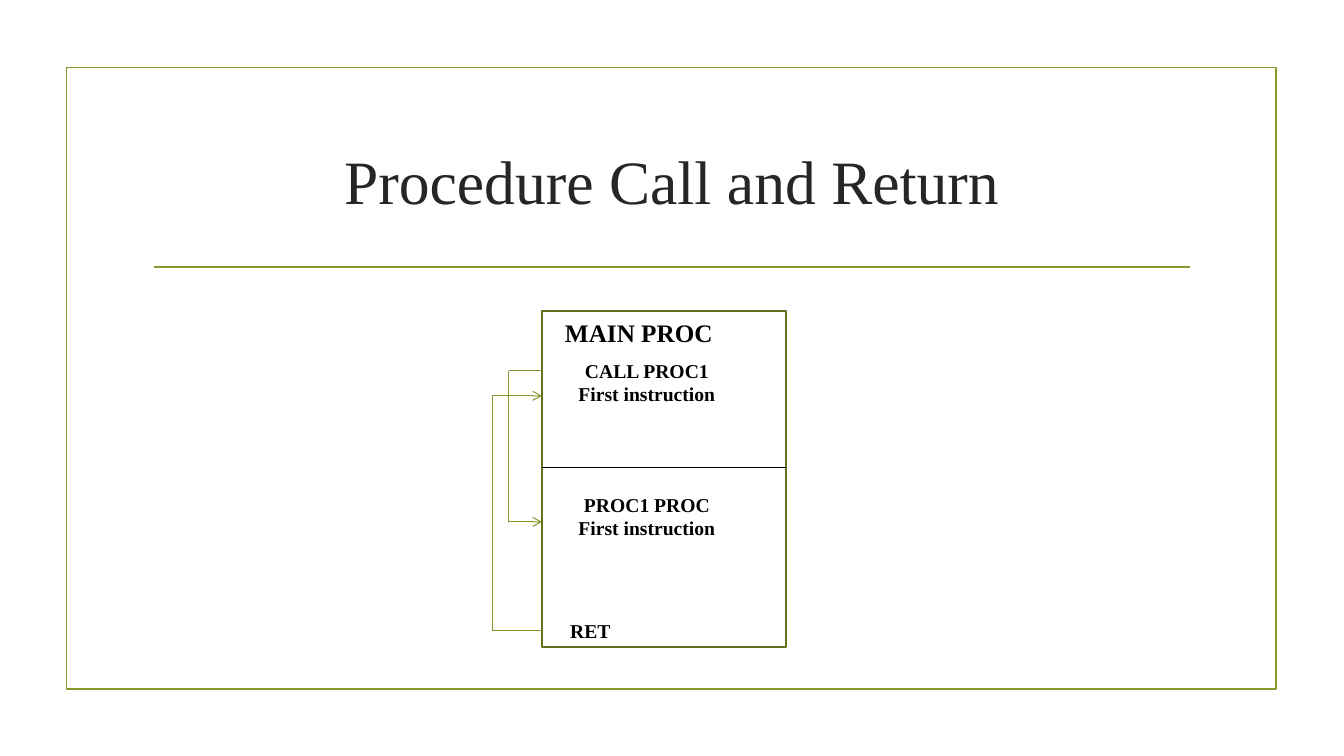
from dataclasses import dataclass
from itertools import pairwise

from pptx import Presentation
from pptx.dml.color import RGBColor
from pptx.enum.shapes import MSO_CONNECTOR, MSO_SHAPE
from pptx.enum.text import MSO_ANCHOR, PP_ALIGN
from pptx.oxml import parse_xml
from pptx.oxml.ns import nsdecls
from pptx.util import Pt

RECT = MSO_SHAPE.RECTANGLE
LINE = MSO_CONNECTOR.STRAIGHT
CENTER = PP_ALIGN.CENTER
TOP, MIDDLE = MSO_ANCHOR.TOP, MSO_ANCHOR.MIDDLE


@dataclass(frozen=True)
class Theme:
    font: str = "Times New Roman"
    green: str = "83992A"
    olive: str = "61711F"
    white: str = "FFFFFF"
    black: str = "000000"
    dark: str = "262626"
    title: float = 44
    head: float = 18
    body: float = 14
    thick: float = 1.25
    thin: float = 0.75


@dataclass(frozen=True)
class Box:
    left: float
    top: float
    width: float
    height: float
    line: str
    fill: str | None = None


@dataclass(frozen=True)
class Label:
    left: float
    top: float
    width: float
    height: float
    lines: tuple[str, ...]
    size: float
    color: str
    bold: bool = True
    anchor: MSO_ANCHOR = TOP


@dataclass(frozen=True)
class Rule:
    start: tuple[float, float]
    end: tuple[float, float]
    color: str
    width: float
    arrow: bool = False


@dataclass(frozen=True)
class Jump:
    """A path that leaves the memory box, runs down or up, and re-enters."""
    x: float
    leave: float
    enter: float


THEME = Theme()
EDGE = 387.2  # left side of the memory box

FRAME = Box(47.5, 48.2, 864, 444.2, THEME.green)
MEMORY = Box(EDGE, 222.4, 174.2, 239.8, THEME.olive, THEME.white)

RULES = (
    Rule((110.2, 190.8), (850.3, 190.8), THEME.green, THEME.thick),
    Rule((EDGE, 333.8), (561.2, 333.8), THEME.black, THEME.thin),
)

LABELS = (
    Label(102, 77, 756, 103, ("Procedure Call and Return",),
          THEME.title, THEME.dark, False, MIDDLE),
    Label(EDGE, 223.2, 138.2, 29, ("MAIN PROC",), THEME.head, THEME.black),
    Label(EDGE, 252.7, 149.8, 41, ("CALL PROC1", "First instruction"),
          THEME.body, THEME.black),
    Label(EDGE, 348.5, 149.8, 41, ("PROC1 PROC", "First instruction"),
          THEME.body, THEME.black),
    Label(EDGE, 438.5, 69.1, 24.5, ("RET",), THEME.body, THEME.black),
)

JUMPS = (
    Jump(363.4, 264.8, 372.8),  # call
    Jump(351.6, 450.4, 282.7),  # return
)


def draw_box(slide, box: Box) -> None:
    shape = slide.shapes.add_shape(
        RECT, Pt(box.left), Pt(box.top), Pt(box.width), Pt(box.height))
    shape.shadow.inherit = False
    shape.line.color.rgb = RGBColor.from_string(box.line)
    shape.line.width = Pt(THEME.thick)
    if box.fill is None:
        shape.fill.background()
    else:
        shape.fill.solid()
        shape.fill.fore_color.rgb = RGBColor.from_string(box.fill)


def draw_rule(slide, rule: Rule) -> None:
    ends = (Pt(v) for v in (*rule.start, *rule.end))
    link = slide.shapes.add_connector(LINE, *ends)
    link.line.color.rgb = RGBColor.from_string(rule.color)
    link.line.width = Pt(rule.width)
    if rule.arrow:
        tip = parse_xml(f'<a:tailEnd {nsdecls("a")} type="arrow"/>')
        link.line._get_or_add_ln().append(tip)
    link._element.spPr.append(parse_xml(f'<a:effectLst {nsdecls("a")}/>'))


def draw_label(slide, label: Label) -> None:
    box = slide.shapes.add_textbox(
        Pt(label.left), Pt(label.top), Pt(label.width), Pt(label.height))
    frame = box.text_frame
    frame.word_wrap = True
    frame.vertical_anchor = label.anchor
    frame.text = "\n".join(label.lines)
    for para in frame.paragraphs:
        para.alignment = CENTER
        para.font.name = THEME.font
        para.font.size = Pt(label.size)
        para.font.bold = label.bold
        para.font.color.rgb = RGBColor.from_string(label.color)


def draw_jump(slide, jump: Jump) -> None:
    stops = ((EDGE, jump.leave), (jump.x, jump.leave),
             (jump.x, jump.enter), (EDGE, jump.enter))
    for start, end in pairwise(stops):
        draw_rule(slide, Rule(start, end, THEME.green, THEME.thin,
                              arrow=end == stops[-1]))


def main() -> None:
    deck = Presentation()
    deck.slide_width, deck.slide_height = Pt(960), Pt(540)
    slide = deck.slides.add_slide(deck.slide_layouts[6])

    # Frame and memory box
    for box in (FRAME, MEMORY):
        draw_box(slide, box)

    # Title rule and divider between the procedures
    for rule in RULES:
        draw_rule(slide, rule)

    # Title and code labels
    for label in LABELS:
        draw_label(slide, label)

    # Call and return paths
    for jump in JUMPS:
        draw_jump(slide, jump)

    deck.save("out.pptx")


if __name__ == "__main__":
    main()
